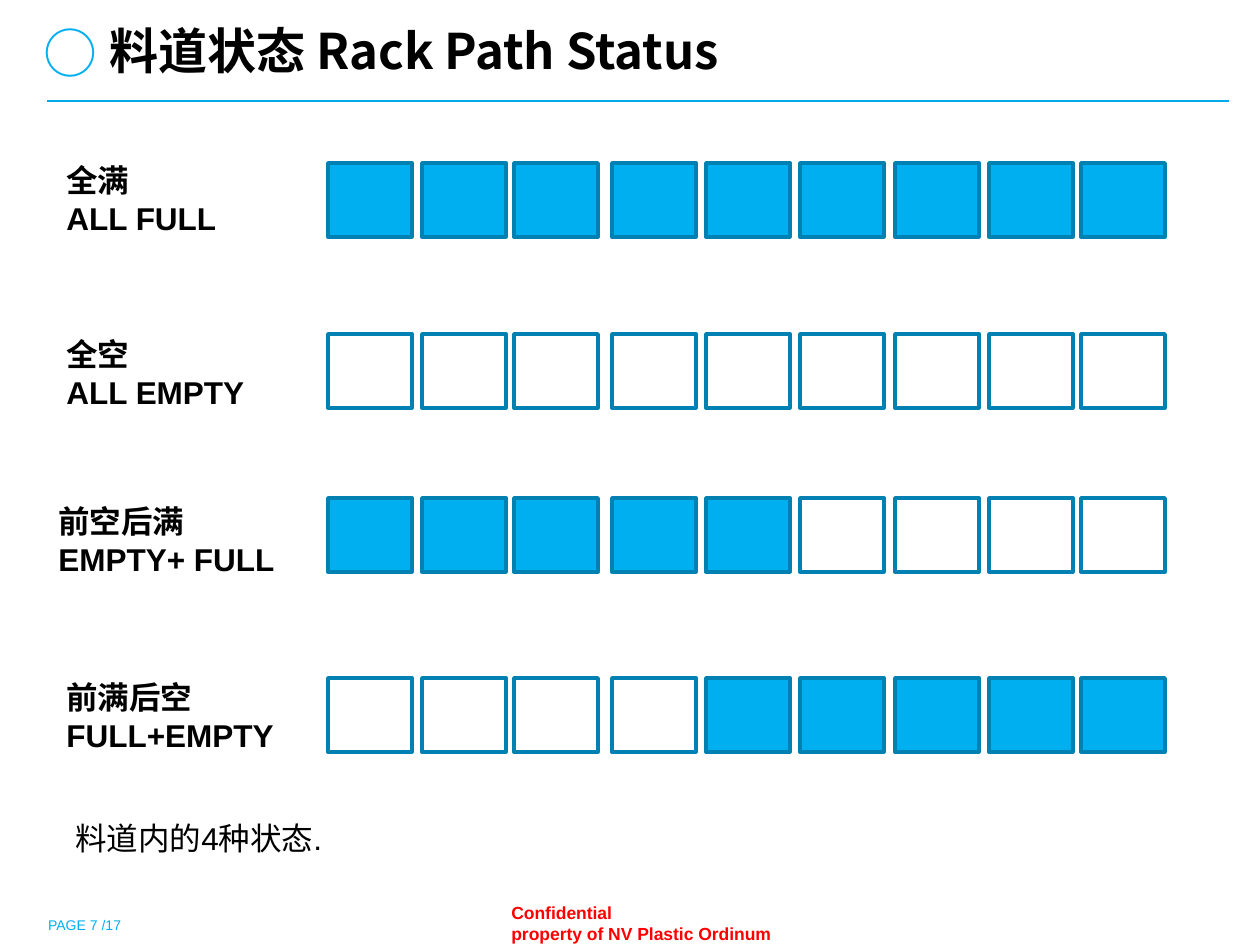
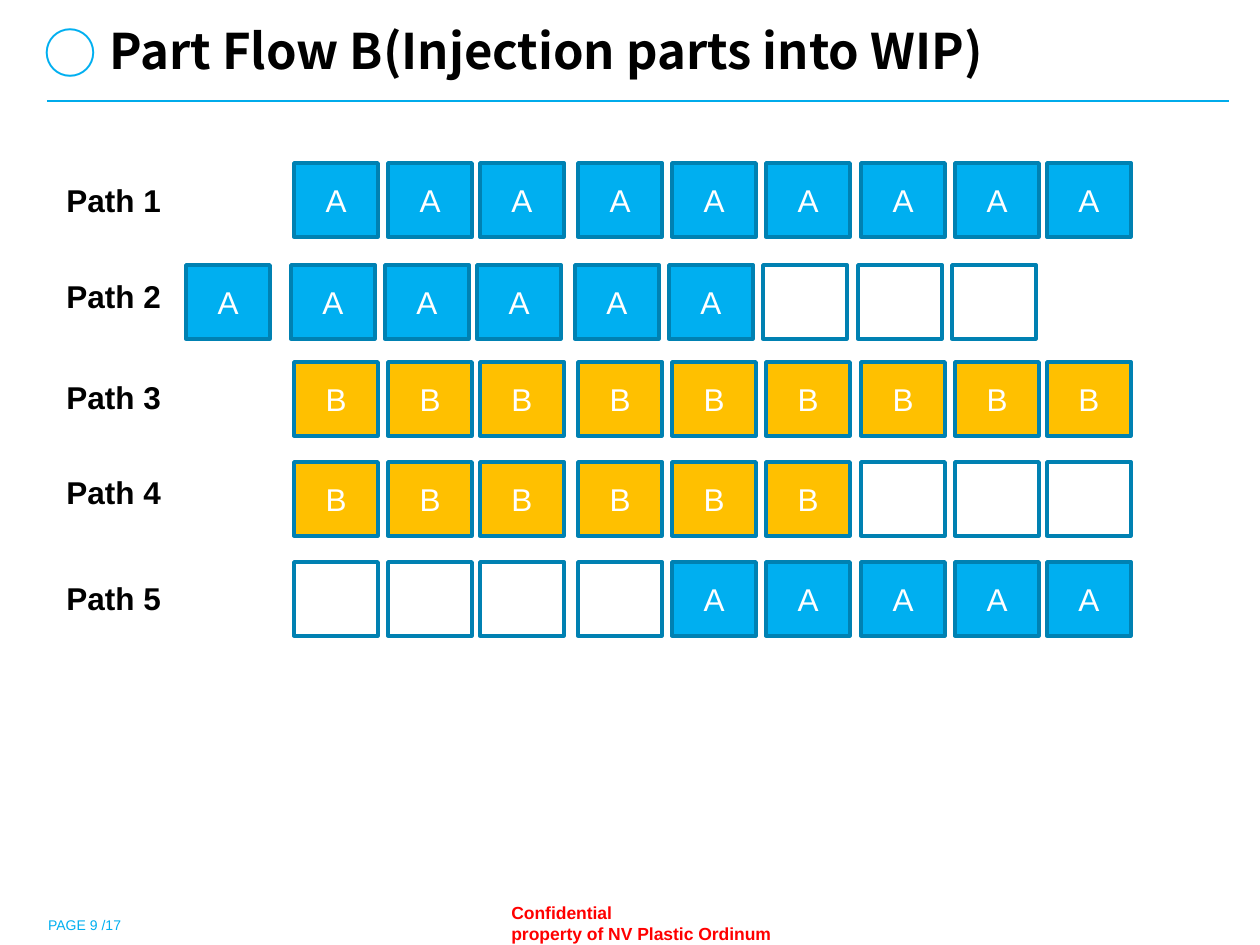
from lxml import etree
from pptx import Presentation
from pptx import util as u
from pptx.dml.color import RGBColor
from pptx.enum import shapes, text
from pptx.oxml.ns import qn

PX = 914400 / 126
COLORS = {
    "accent": "00AFF0", "rule": "00ABEB", "cell_line": "0081B2",
    "part_b": "FFC000", "white": "FFFFFF", "black": "000000", "red": "FF0000",
}
CJK = "Noto Sans CJK SC"
LATIN = "Arial"
LABEL = {"size": 18, "bold": True}

CELL_W, CELL_H = 84, 74
CELL_OFFSETS = (0, 94, 186, 284, 378, 472, 567, 661, 753)
# Mark in a row pattern -> fill colour and caption of the cell
CELLS = {
    "#": ("accent", ""), "-": ("white", ""),
    "A": ("accent", "A"), "B": ("part_b", "B"),
}

# label, label left, label top, row top, cells
RACK_STATES = (
    ("全满\vALL FULL", 54, 155, 163, "#########"),
    ("全空\vALL EMPTY", 54, 329, 334, "---------"),
    ("前空后满\vEMPTY+ FULL", 46, 496, 498, "#####----"),
    ("前满后空\vFULL+EMPTY", 54, 672, 678, "----#####"),
)
# label top, row left, row top, cells
PATHS = (
    (175, 294, 163, "AAAAAAAAA"),
    (271, 291, 265, "AAAAA---"),
    (372, 294, 362, "BBBBBBBBB"),
    (467, 294, 462, "BBBBBB---"),
    (573, 294, 562, "----AAAAA"),
)


def px(*values):
    return [u.Emu(round(v * PX)) for v in values]


def rgb(name):
    return RGBColor.from_string(COLORS[name])


def write(tf, words, color="black", latin=LATIN, size=18, bold=False):
    """Fill the first paragraph; a vertical tab in words is a line break."""
    p = tf.paragraphs[0]
    p.text = words
    for r in p.runs:
        for name, value in {"name": latin, "size": u.Pt(size), "bold": bold}.items():
            setattr(r.font, name, value)
        r.font.color.rgb = rgb(color)
        etree.SubElement(r.font._element, qn("a:ea"), typeface=CJK)
    return p


def add_text(s, words, box, inset=True, anchor=text.MSO_ANCHOR.TOP, **font):
    tf = s.shapes.add_textbox(*px(*box)).text_frame
    tf.word_wrap = True
    tf.vertical_anchor = anchor
    if not inset:
        for side in ("left", "top", "right", "bottom"):
            setattr(tf, "margin_" + side, 0)
    write(tf, words, **font)


def add_title(s, words):
    sp = s.shapes.title
    sp.left, sp.top, sp.width, sp.height = px(31, 21, 1217, 59)
    tf = sp.text_frame
    frame = {"auto_size": text.MSO_AUTO_SIZE.NONE, "margin_top": 0,
             "vertical_anchor": text.MSO_ANCHOR.TOP, "word_wrap": True}
    for name, value in frame.items():
        setattr(tf, name, value)
    p = tf.paragraphs[0]
    p.alignment = text.PP_ALIGN.LEFT
    indent = px(66)[0]
    pPr = p._p.get_or_add_pPr()
    pPr.set("marL", str(indent))
    pPr.set("indent", str(-indent))
    color = etree.SubElement(pPr, qn("a:buClr"))
    etree.SubElement(color, qn("a:srgbClr"), val=COLORS["accent"])
    etree.SubElement(pPr, qn("a:buSzPct"), val="110000")
    etree.SubElement(pPr, qn("a:buFont"), typeface=CJK)
    etree.SubElement(pPr, qn("a:buChar"), char="○")
    write(tf, words, latin=CJK, size=28, bold=True)


def add_rule(s):
    line = s.shapes.add_connector(shapes.MSO_CONNECTOR.STRAIGHT, *px(47, 101, 1229, 101))
    line.line.color.rgb = rgb("rule")
    line.line.width = u.Pt(0.75)
    etree.SubElement(line._element.spPr, qn("a:effectLst"))


def add_cell(s, x, y, mark):
    fill, caption = CELLS[mark]
    sp = s.shapes.add_shape(shapes.MSO_SHAPE.RECTANGLE, *px(x, y, CELL_W, CELL_H))
    sp.shadow.inherit = False
    sp.fill.solid()
    sp.fill.fore_color.rgb = rgb(fill)
    sp.line.color.rgb = rgb("cell_line")
    sp.line.width = u.Pt(2)
    if caption:
        sp.text_frame.vertical_anchor = text.MSO_ANCHOR.MIDDLE
        p = write(sp.text_frame, caption, color="white")
        p.alignment = text.PP_ALIGN.CENTER


def add_row(s, x, y, marks):
    for offset, mark in zip(CELL_OFFSETS, marks):
        add_cell(s, x + offset, y, mark)


def add_slide(prs, title, page):
    """Add a slide with the shared title, rule and footers."""
    s = prs.slides.add_slide(prs.slide_layouts[5])
    add_text(s, "Confidential\vproperty of NV Plastic Ordinum", (499, 896, 289, 54),
             color="red", size=10, bold=True)
    add_text(s, f"PAGE {page} /17", (48, 901, 1012, 32), inset=False,
             anchor=text.MSO_ANCHOR.BOTTOM, color="accent", size=8)
    add_rule(s)
    add_title(s, title)
    return s


def add_rack_status(prs):
    s = add_slide(prs, "料道状态 Rack Path Status", 7)
    for label, label_x, label_y, row_y, marks in RACK_STATES:
        add_row(s, 328, row_y, marks)
        add_text(s, label, (label_x, label_y, 272, 89), **LABEL)
    add_text(s, "料道内的4种状态.", (63, 813, 1018, 50))


def add_part_flow(prs):
    s = add_slide(prs, "Part Flow B(Injection parts into WIP)", 9)
    for number, (label_y, row_x, row_y, marks) in enumerate(PATHS, 1):
        add_row(s, row_x, row_y, marks)
        add_text(s, f"Path {number}", (54, label_y, 154, 50), **LABEL)
    entering_x, path_2_y = 186, PATHS[1][2]
    add_cell(s, entering_x, path_2_y, "A")


def main():
    prs = Presentation()
    prs.slide_width, prs.slide_height = px(1260, 945)
    add_rack_status(prs)
    add_part_flow(prs)
    prs.save("out.pptx")


if __name__ == "__main__":
    main()
